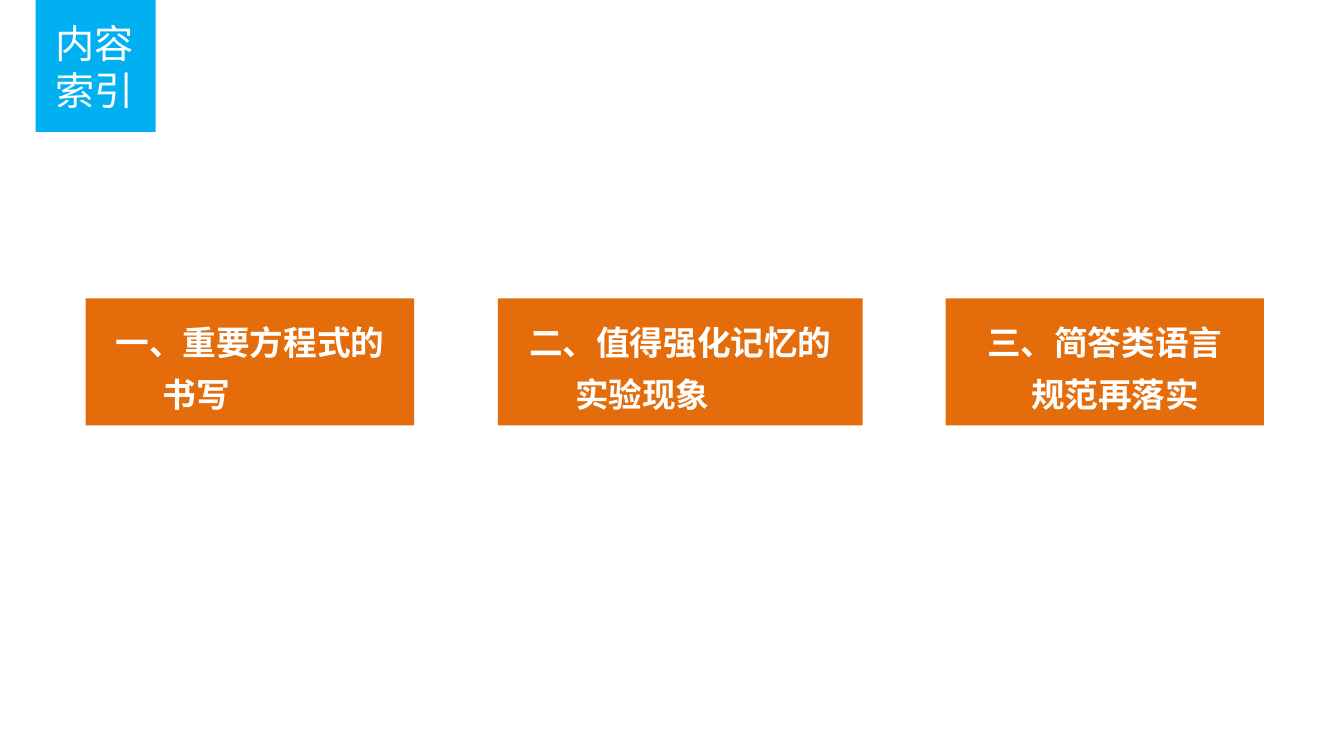
import pptx
import pptx.util
import pptx.dml.color
import pptx.enum.shapes
import pptx.enum.text
import pptx.oxml
import pptx.oxml.ns

Pt = pptx.util.Pt
ALIGN = pptx.enum.text.PP_ALIGN
ANCHOR = pptx.enum.text.MSO_ANCHOR

FONT = "Noto Sans CJK SC"
COLORS = {"tab": "00B0F0", "section": "E46C0A", "text": "FFFFFF"}
TITLE = {"name": FONT, "size": Pt(28), "bold": False}
HEADING = {"name": FONT, "size": Pt(24), "bold": True}
SECTION_TOP, SECTION_HEIGHT = 213.1, 90.8

# left, width, first line, second line, indent of the second line
SECTIONS = [
    (61.2, 234.7, "一、重要方程式的", "书写", 48),
    (355.7, 260.6, "二、值得强化记忆的", "实验现象", 48),
    (675.4, 227.5, "三、简答类语言", "规范再落实", 54),
]


def rgb(key):
    return pptx.dml.color.RGBColor.from_string(COLORS[key])


def add_block(s, left, top, width, height, color):
    sp = s.shapes.add_shape(pptx.enum.shapes.MSO_SHAPE.RECTANGLE,
                            Pt(left), Pt(top), Pt(width), Pt(height))
    sp.shadow.inherit = False
    sp.fill.solid()
    sp.fill.fore_color.rgb = rgb(color)
    sp.line.fill.background()
    return sp


def write(p, text, fmt, align, spacing=None, indent=0):
    p.alignment = align
    p.line_spacing = spacing
    if indent:
        pPr = p._p.get_or_add_pPr()
        pPr.set("marL", str(Pt(indent)))
        pPr.set("indent", "0")
    r = p.add_run()
    r.text = text
    for name, value in fmt.items():
        setattr(r.font, name, value)
    r.font.color.rgb = rgb("text")
    ea = pptx.oxml.parse_xml(
        f'<a:ea {pptx.oxml.ns.nsdecls("a")} typeface="{FONT}"/>')
    r.font._element.find(pptx.oxml.ns.qn("a:latin")).addnext(ea)


def add_title(s, text):
    add_block(s, 25.5, 0, 85.7, 94.3, "tab")
    tf = s.shapes.add_textbox(Pt(31), Pt(10.1), Pt(73.4), Pt(74.9)).text_frame
    tf.word_wrap = True
    write(tf.paragraphs[0], text, TITLE, ALIGN.CENTER)


def add_section(s, left, width, first, second, indent):
    sp = add_block(s, left, SECTION_TOP, width, SECTION_HEIGHT, "section")
    tf = sp.text_frame
    tf.vertical_anchor = ANCHOR.MIDDLE
    write(tf.paragraphs[0], first, HEADING, ALIGN.CENTER, 1.3)
    write(tf.add_paragraph(), second, HEADING, ALIGN.LEFT, 1.3, indent)


def main():
    prs = pptx.Presentation()
    prs.slide_width, prs.slide_height = Pt(960), Pt(540)
    s = prs.slides.add_slide(prs.slide_layouts[6])
    add_title(s, "内容索引")
    for section in SECTIONS:
        add_section(s, *section)
    prs.save("out.pptx")


if __name__ == "__main__":
    main()
